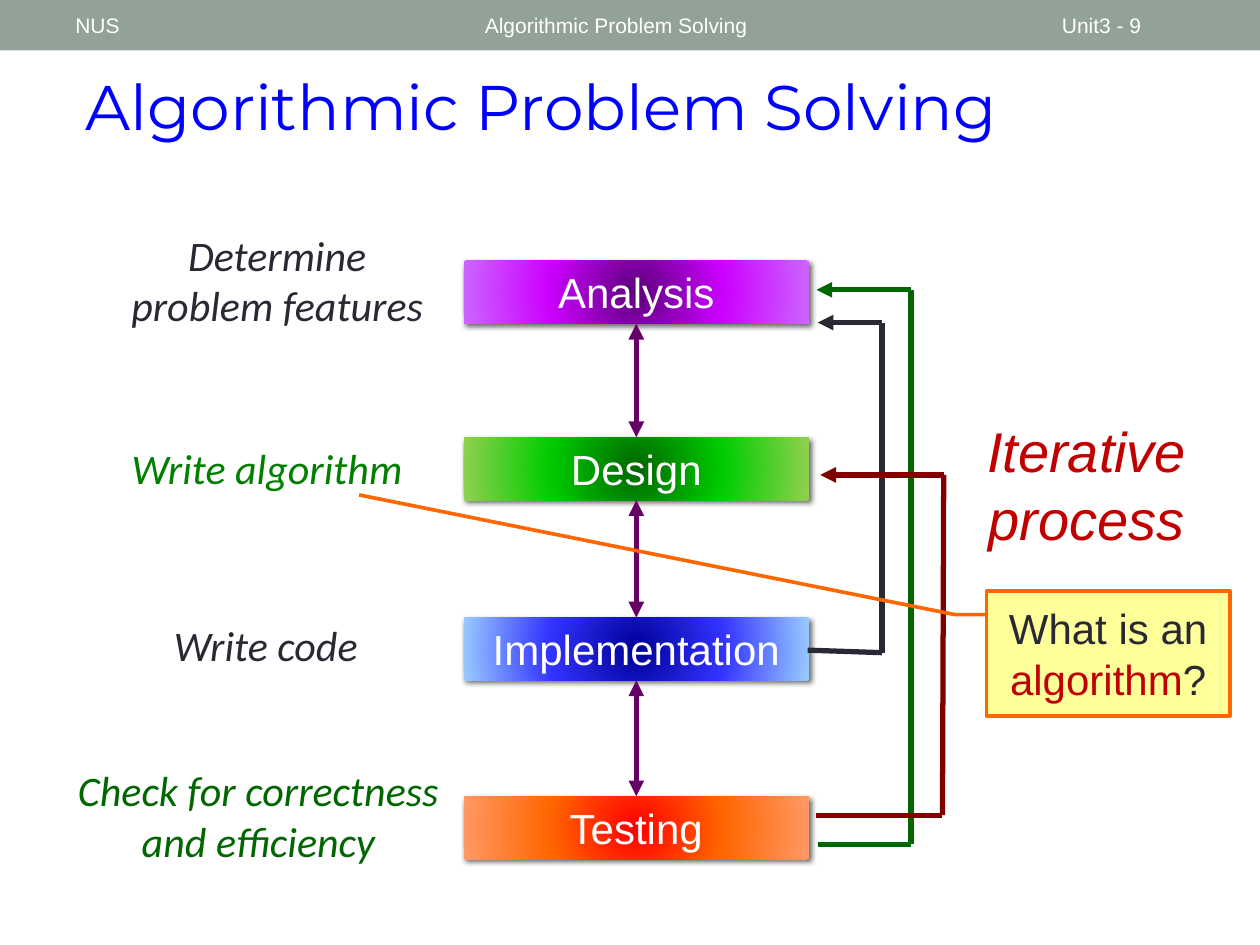
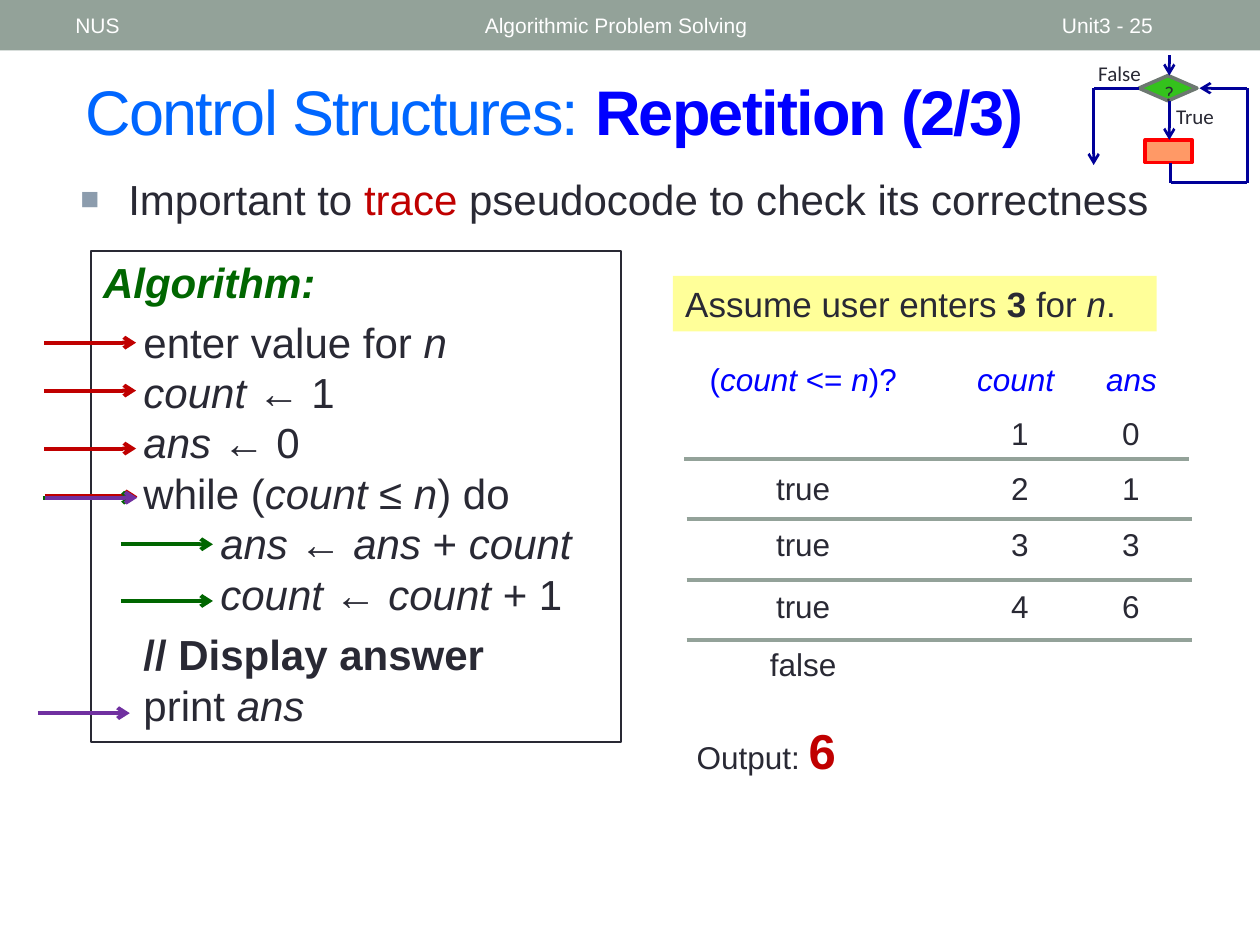
from lxml import etree
from pptx import Presentation
from pptx.dml.color import RGBColor
from pptx.enum.shapes import MSO_CONNECTOR, MSO_SHAPE as Shape
from pptx.enum.text import MSO_ANCHOR as Anchor, PP_ALIGN as Align
from pptx.oxml import parse_xml
from pptx.oxml.ns import nsdecls, qn
from pptx.util import Inches, Pt

WHITE = RGBColor(0xFF, 0xFF, 0xFF)
INK = RGBColor(0x29, 0x29, 0x34)
SAGE = RGBColor(0x93, 0xA2, 0x99)
BLUE = RGBColor(0x00, 0x00, 0xFF)
SKY = RGBColor(0x00, 0x66, 0xFF)
NAVY = RGBColor(0x00, 0x00, 0x99)
RED = RGBColor(0xC0, 0x00, 0x00)
BRIGHT_RED = RGBColor(0xFF, 0x00, 0x00)
MAROON = RGBColor(0x80, 0x00, 0x00)
GREEN = RGBColor(0x00, 0x66, 0x00)
MID_GREEN = RGBColor(0x00, 0x80, 0x00)
LEAF = RGBColor(0x34, 0xC2, 0x1C)
PLUM = RGBColor(0x66, 0x00, 0x66)
PURPLE = RGBColor(0x70, 0x30, 0xA0)
ORANGE = RGBColor(0xFF, 0x66, 0x00)
PEACH = RGBColor(0xFF, 0x99, 0x66)
YELLOW = RGBColor(0xFF, 0xFF, 0x99)
GREY = RGBColor(0x6D, 0x78, 0x71)


def add_box(page, at, paras, size=24, color=INK, font="Arial", align=Align.LEFT,
            anchor=Anchor.TOP, kind=None, fill=None, line=None, width=2.08):
    place = [Inches(length) for length in at]
    if kind is None:
        box = page.shapes.add_textbox(*place)
    else:
        box = page.shapes.add_shape(kind, *place)
        box.shadow.inherit = False
    if fill is None:
        box.fill.background()
    else:
        box.fill.solid()
        box.fill.fore_color.rgb = fill
    if line is None:
        box.line.fill.background()
    else:
        box.line.color.rgb = line
        box.line.width = Pt(width)
    frame = box.text_frame
    frame.word_wrap = True
    frame.vertical_anchor = anchor
    for number, spans in enumerate(paras):
        para = frame.add_paragraph() if number else frame.paragraphs[0]
        para.alignment = align
        for text, style, *own_color in spans:
            span = para.add_run()
            span.text = text
            span.font.name = font
            span.font.size = Pt(size)
            span.font.bold = "b" in style
            span.font.italic = "i" in style
            span.font.color.rgb = own_color[0] if own_color else color
    return box


def add_route(page, points, color, width, tail=None, head=None):
    last = len(points) - 2
    for number, (start, end) in enumerate(zip(points, points[1:])):
        ends = [Inches(length) for length in (*start, *end)]
        link = page.shapes.add_connector(MSO_CONNECTOR.STRAIGHT, *ends)
        link.line.color.rgb = color
        link.line.width = Pt(width)
        outline = link.line._get_or_add_ln()
        if head and number == 0:
            etree.SubElement(outline, qn("a:headEnd"), type=head)
        if tail and number == last:
            etree.SubElement(outline, qn("a:tailEnd"), type=tail)
        etree.SubElement(link._element.spPr, qn("a:effectLst"))


deck = Presentation()
deck.slide_width = Inches(10)
deck.slide_height = Inches(7.5)

pages = []
for number in (9, 25):
    page = deck.slides.add_slide(deck.slide_layouts[6])
    add_box(page, (0, 0, 10, 0.4), [], kind=Shape.RECTANGLE, fill=SAGE)
    for left, width, text in [(0.5, 3.17, "NUS"),
                              (3.75, 4.5, "Algorithmic Problem Solving"),
                              (8.33, 1.17, f"Unit3 - {number}")]:
        add_box(page, (left, 0.02, width, 0.36), [[(text, "")]], 12, WHITE,
                anchor=Anchor.MIDDLE)
    pages.append(page)
process, trace = pages

add_box(process, (0.58, 0.49, 9.17, 0.71), [[("Algorithmic Problem Solving", "")]],
        36, BLUE, "Montserrat")

STEP_HEIGHT = 0.5
steps = [("Analysis", 2.07, ("5B0079", "CC00FF", "CC66FF")),
         ("Design", 3.47, ("006600", "00CC00", "92D050")),
         ("Implementation", 4.9, ("000099", "3333FF", "99CCFF")),
         ("Testing", 6.32, ("FF0000", "FF6600", "FF9966"))]
for name, top, shades in steps:
    step = add_box(process, (3.68, top, 2.74, STEP_HEIGHT), [[(name, "")]], color=WHITE,
                   align=Align.CENTER, kind=Shape.RECTANGLE)
    stops = "".join(f'<a:gs pos="{place}"><a:srgbClr val="{shade}"/></a:gs>'
                    for place, shade in zip((0, 50000, 100000), shades))
    properties = step._element.spPr
    properties.replace(properties.find(qn("a:noFill")), parse_xml(
        f'<a:gradFill {nsdecls("a")} rotWithShape="1"><a:gsLst>{stops}</a:gsLst>'
        '<a:path path="circle"><a:fillToRect l="50000" t="50000" r="50000" b="50000"/>'
        '</a:path></a:gradFill>'))
    properties.find(qn("a:effectLst")).append(parse_xml(
        f'<a:outerShdw {nsdecls("a")} blurRad="38100" dist="25400" dir="2700000">'
        '<a:srgbClr val="000000"><a:alpha val="60000"/></a:srgbClr></a:outerShdw>'))

for upper, lower in zip(steps, steps[1:]):
    add_route(process, [(5.05, upper[1] + STEP_HEIGHT), (5.05, lower[1])], PLUM, 3,
              "triangle", "triangle")

for color, points in [
        (INK, [(6.41, 5.16), (7, 5.18), (7, 2.56), (6.49, 2.56)]),
        (GREEN, [(6.49, 6.7), (7.23, 6.7), (7.23, 2.3), (6.48, 2.3)]),
        (MAROON, [(6.48, 6.47), (7.48, 6.47), (7.49, 3.77), (6.51, 3.77)])]:
    add_route(process, points, color, 3, "triangle")

add_box(process, (7.5, 3.26, 2.25, 1.18), [[("Iterative process", "i")]], 32, RED,
        align=Align.CENTER)
for at, text, color in [
        ((0.88, 1.77, 2.64, 0.91), "Determine problem features", INK),
        ((0.8, 3.46, 2.64, 0.5), "Write algorithm", MID_GREEN),
        ((0.98, 4.87, 2.26, 0.5), "Write code", INK),
        ((0.44, 6.02, 3.22, 0.91), "Check for correctness and efficiency", GREEN)]:
    add_box(process, at, [[(text, "i")]], 24, color, "Calibri", Align.CENTER)

callout = add_box(process, (7.83, 4.69, 1.93, 0.99),
                  [[("What is an ", ""), ("algorithm", "", RED), ("?", "")]],
                  align=Align.CENTER, anchor=Anchor.MIDDLE, kind=Shape.LINE_CALLOUT_2,
                  fill=YELLOW, line=ORANGE)
for index, value in enumerate((0.19, 0, 0.19, -0.13, -0.77, -2.58)):
    callout.adjustments[index] = value

title = add_box(trace, (0.58, 0.5, 8.92, 0.75),
                [[("Control Structures: ", "", SKY), ("Repetition (2/3)", "b", BLUE)]],
                36, anchor=Anchor.MIDDLE)
for span in title.text_frame.paragraphs[0].runs:
    span._r.get_or_add_rPr().set("spc", "-100")

advice = add_box(trace, (0.54, 1.33, 9.15, 0.66),
                 [[("Important to ", ""), ("trace", "", RED),
                   (" pseudocode to check its correctness", "")]])
bullet = advice.text_frame.paragraphs[0]._p.get_or_add_pPr()
bullet.set("marL", str(Inches(0.38)))
bullet.set("indent", str(-Inches(0.38)))
bullet_color = etree.SubElement(bullet, qn("a:buClr"))
etree.SubElement(bullet_color, qn("a:srgbClr"), val="8C9CAD")
etree.SubElement(bullet, qn("a:buSzPct"), val="75000")
etree.SubElement(bullet, qn("a:buFont"), typeface="Arial")
etree.SubElement(bullet, qn("a:buChar"), char="■")

code = [
    (0, [("Algorithm:", "bi", GREEN)]),
    (0.32, [("enter value for ", ""), ("n", "i")]),
    (0.32, [("count ", "i"), ("← 1", "")]),
    (0.32, [("ans ", "i"), ("← 0", "")]),
    (0.32, [("while (", ""), ("count ", "i"), ("≤ ", ""), ("n", "i"), (") do", "")]),
    (0.93, [("ans ", "i"), ("← ", ""), ("ans ", "i"), ("+ ", ""), ("count", "i")]),
    (0.93, [("count ", "i"), ("← ", ""), ("count ", "i"), ("+ 1", "")]),
    (0.32, [("// Display answer", "b")]),
    (0.32, [("print ", ""), ("ans", "i")])]
listing = add_box(trace, (0.72, 1.99, 4.21, 3.9), [spans for _, spans in code],
                  kind=Shape.RECTANGLE, line=INK, width=1)
code_lines = listing.text_frame.paragraphs
for para, (indent, _) in zip(code_lines, code):
    para._p.get_or_add_pPr().set("marL", str(Inches(indent)))
code_lines[0].space_after = Pt(5)
code_lines[7].space_before = Pt(6)

for left, top, color in [(0.35, 2.72, RED), (0.35, 3.1, RED), (0.35, 3.56, RED),
                         (0.36, 3.94, RED), (0.34, 3.95, GREEN), (0.96, 4.32, GREEN),
                         (0.96, 4.77, GREEN), (0.36, 3.95, PURPLE), (0.3, 5.66, PURPLE)]:
    add_route(trace, [(left, top), (left + 0.73, top)], color, 2.25, "arrow")

add_box(trace, (5.34, 2.19, 3.84, 0.44),
        [[("Assume user enters ", ""), ("3", "b"), (" for ", ""), ("n", "i"), (".", "")]],
        20, kind=Shape.RECTANGLE, fill=YELLOW)

for left, width, spans in [
        (5.43, 1.89, [("(", ""), ("count ", "i"), ("<= ", ""), ("n", "i"), (")?", "")]),
        (7.6, 0.92, [("count", "i")]),
        (8.52, 0.92, [("ans", "i")])]:
    add_box(trace, (left, 2.81, width, 0.4), [spans], 18, BLUE, align=Align.CENTER)

columns = [(5.91, 0.93), (7.83, 0.53), (8.71, 0.53)]
for top, values in [(3.24, ("", "1", "0")), (3.67, ("true", "2", "1")),
                    (4.12, ("true", "3", "3")), (4.61, ("true", "4", "6")),
                    (5.07, ("false", "", ""))]:
    for (left, width), value in zip(columns, values):
        if value:
            add_box(trace, (left, top, width, 0.4), [[(value, "")]], 18,
                    align=Align.CENTER)
for row in range(4):
    left, top = 5.45 if row else 5.43, 3.64 + 0.48 * row
    add_route(trace, [(left, top), (left + 4.01, top)], SAGE, 2.25)

output = add_box(trace, (5.43, 5.67, 1.72, 0.57), [[("Output: ", ""), ("6", "b", RED)]], 18)
output.text_frame.paragraphs[0].runs[1].font.size = Pt(28)

add_box(trace, (9.04, 0.6, 0.46, 0.2), [], kind=Shape.FLOWCHART_DECISION, fill=LEAF, line=GREY)
add_box(trace, (9.09, 1.11, 0.37, 0.18), [], kind=Shape.RECTANGLE, fill=PEACH, line=BRIGHT_RED)
for points in [[(9.28, 0.44), (9.28, 0.6)],
               [(9.28, 0.8), (9.28, 1.11)],
               [(9.29, 1.29), (9.29, 1.45), (9.9, 1.45), (9.9, 0.7), (9.52, 0.7)],
               [(9.04, 0.7), (8.68, 0.7), (8.68, 1.31)]]:
    add_route(trace, points, NAVY, 1.5, "arrow")
for at, text in [((9.23, 0.77, 0.51, 0.25), "True"), ((8.59, 0.43, 0.59, 0.25), "False"),
                 ((9.14, 0.59, 0.28, 0.3), "?")]:
    label = add_box(trace, at, [[(text, "")]], 12, font="Calibri", align=Align.CENTER)
    label.text_frame.word_wrap = text != "?"

deck.save("out.pptx")
